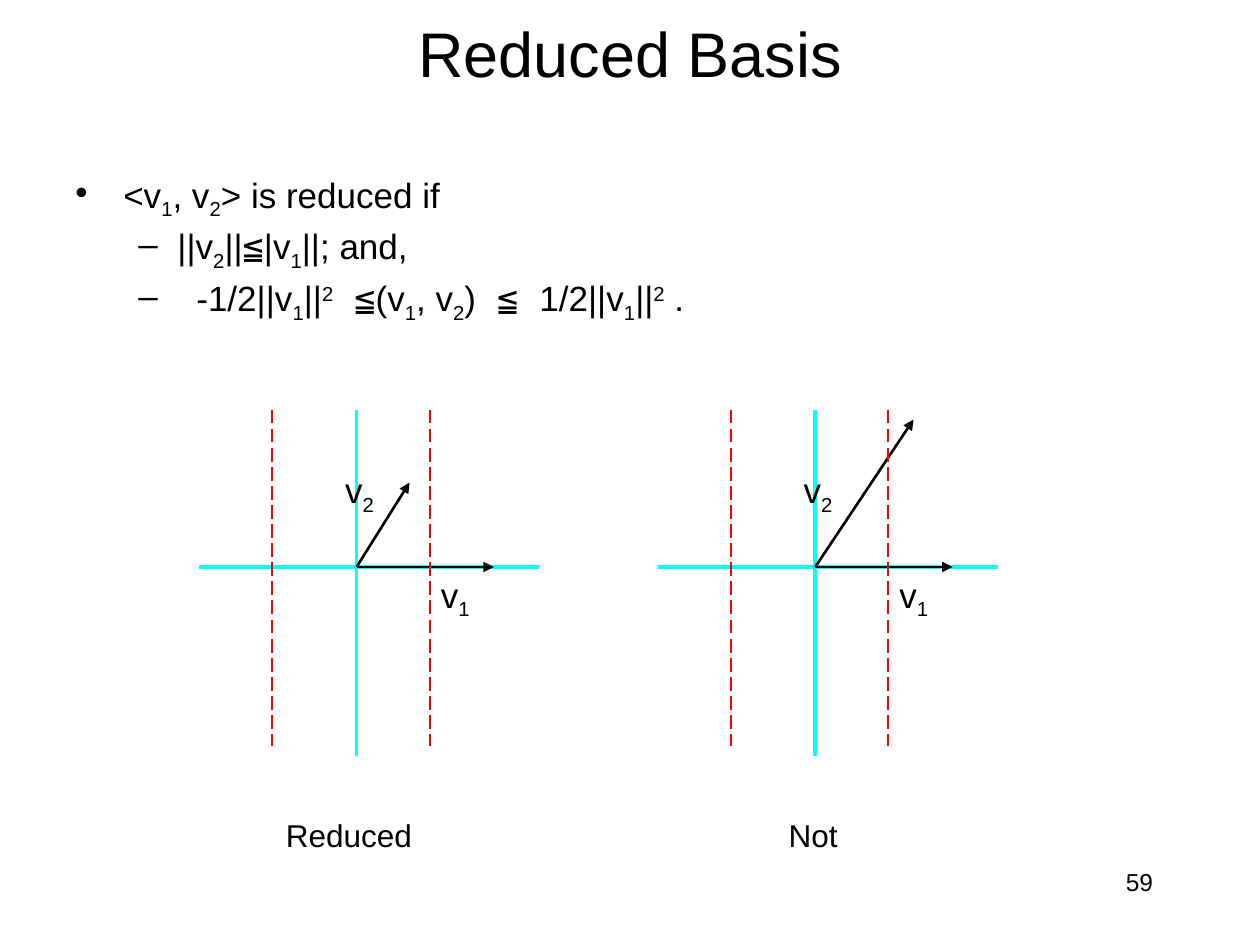
from lxml.etree import SubElement
from pptx import Presentation
from pptx.dml.color import RGBColor
from pptx.enum.dml import MSO_LINE
from pptx.enum.shapes import MSO_CONNECTOR
from pptx.enum.text import MSO_ANCHOR, MSO_AUTO_SIZE, PP_ALIGN
from pptx.oxml.ns import qn
from pptx.util import Inches, Pt

BLACK = RGBColor(0x00, 0x00, 0x00)
CYAN = RGBColor(0x00, 0xFF, 0xFF)
RED = RGBColor(0xFF, 0x00, 0x00)
SUBSCRIPT = -25
SUPERSCRIPT = 30

V1 = ["v", ("1", SUBSCRIPT)]
V2 = ["v", ("2", SUBSCRIPT)]
SQUARED = ("2", SUPERSCRIPT)

BULLETS = [
    ("•", 0.38, -0.38, ["<", *V1, ", ", *V2, "> is reduced if"]),
    ("–", 0.81, -0.31, ["||", *V2, "||", "≦", "|", *V1, "||; and,"]),
    ("–", 0.96, -0.46, ["-1/2||", *V1, "||", SQUARED, " ≦", "(", *V1, ", ", *V2, ")",
                        " ≦ ", "1/2||", *V1, "||", SQUARED, " ."]),
]


def set_attributes(target, values):
    for name, value in values.items():
        setattr(target, name, value)


def add_runs(paragraph, pieces, size):
    for piece in pieces:
        text, baseline = (piece, 0) if isinstance(piece, str) else piece
        run = paragraph.add_run()
        run.text = text
        font_name = "Courier New" if "≦" in text else "Arial"
        set_attributes(run.font, {"name": font_name, "size": Pt(size)})
        run.font.color.rgb = BLACK
        if baseline:
            run.font._element.set("baseline", str(baseline * 1000))


def add_text(slide, box, pieces, size, frame_format, alignment=PP_ALIGN.LEFT):
    shape = slide.shapes.add_textbox(*map(Inches, box))
    set_attributes(shape.text_frame, frame_format)
    paragraph = shape.text_frame.paragraphs[0]
    paragraph.alignment = alignment
    add_runs(paragraph, pieces, size)


def add_label(slide, box, pieces, size):
    label_format = {"word_wrap": False, "auto_size": MSO_AUTO_SIZE.SHAPE_TO_FIT_TEXT}
    add_text(slide, box, pieces, size, label_format)


def add_bullets(slide, box):
    shape = slide.shapes.add_textbox(*map(Inches, box))
    frame = shape.text_frame
    frame.word_wrap = True
    for index, (bullet, margin, indent, pieces) in enumerate(BULLETS):
        paragraph = frame.add_paragraph() if index else frame.paragraphs[0]
        set_attributes(paragraph, {
            "level": min(index, 1),
            "line_spacing": 0.9,
            "space_before": Pt(5 if index else 0),
        })
        properties = paragraph._p.get_or_add_pPr()
        properties.set("marL", str(Inches(margin)))
        properties.set("indent", str(Inches(indent)))
        SubElement(properties, qn("a:buFont")).set("typeface", "Arial")
        SubElement(properties, qn("a:buChar")).set("char", bullet)
        add_runs(paragraph, pieces, 20)


def add_line(slide, start, end, color, width, dash=None, arrow=False):
    connector = slide.shapes.add_connector(
        MSO_CONNECTOR.STRAIGHT, *map(Inches, (*start, *end)))
    set_attributes(connector.line, {"width": Pt(width), "dash_style": dash})
    connector.line.color.rgb = color
    if arrow:
        SubElement(connector.line._get_or_add_ln(), qn("a:tailEnd")).set("type", "triangle")
    SubElement(connector._element.spPr, qn("a:effectLst"))


def add_basis_plot(slide, box, v2_tip, caption, caption_offset, caption_width):
    left, top, width, height = box
    origin_x, origin_y = left + 1.25, top + 1.25
    origin = (origin_x, origin_y)

    add_line(slide, (origin_x, top), (origin_x, top + height), CYAN, 2)
    add_line(slide, (left, origin_y), (left + width, origin_y), CYAN, 2)
    for tip_x, tip_y in (v2_tip, (1.09, 0)):
        add_line(slide, origin, (origin_x + tip_x, origin_y - tip_y), BLACK, 1.5, arrow=True)
    for offset in (0.58, -0.67):
        bound_x = origin_x + offset
        add_line(slide, (bound_x, top), (bound_x, top + 2.67), RED, 1, MSO_LINE.LONG_DASH)

    add_label(slide, (origin_x + 0.57, origin_y, 0.45, 0.44), V1, 20)
    add_label(slide, (origin_x - 0.19, origin_y - 0.83, 0.45, 0.44), V2, 20)
    add_label(slide, (left + caption_offset, top + 3.18, caption_width, 0.4), [caption], 18)


def main():
    presentation = Presentation()
    set_attributes(presentation, {"slide_width": Inches(10), "slide_height": Inches(7.5)})
    slide = presentation.slides.add_slide(presentation.slide_layouts[6])

    add_text(slide, (7.17, 6.83, 2.08, 0.5), ["59"], 14,
             {"word_wrap": True}, PP_ALIGN.RIGHT)
    add_text(slide, (0.75, 0, 8.5, 0.83), ["Reduced Basis"], 36,
             {"word_wrap": True, "vertical_anchor": MSO_ANCHOR.MIDDLE}, PP_ALIGN.CENTER)
    add_bullets(slide, (0.5, 1.33, 8.92, 2))
    add_basis_plot(slide, (1.58, 3.25, 2.7, 2.75), (0.42, 0.67), "Reduced", 0.59, 1.21)
    add_basis_plot(slide, (5.22, 3.25, 2.7, 2.75), (0.78, 1.17), "Not", 0.94, 0.59)
    presentation.save("out.pptx")


if __name__ == "__main__":
    main()
